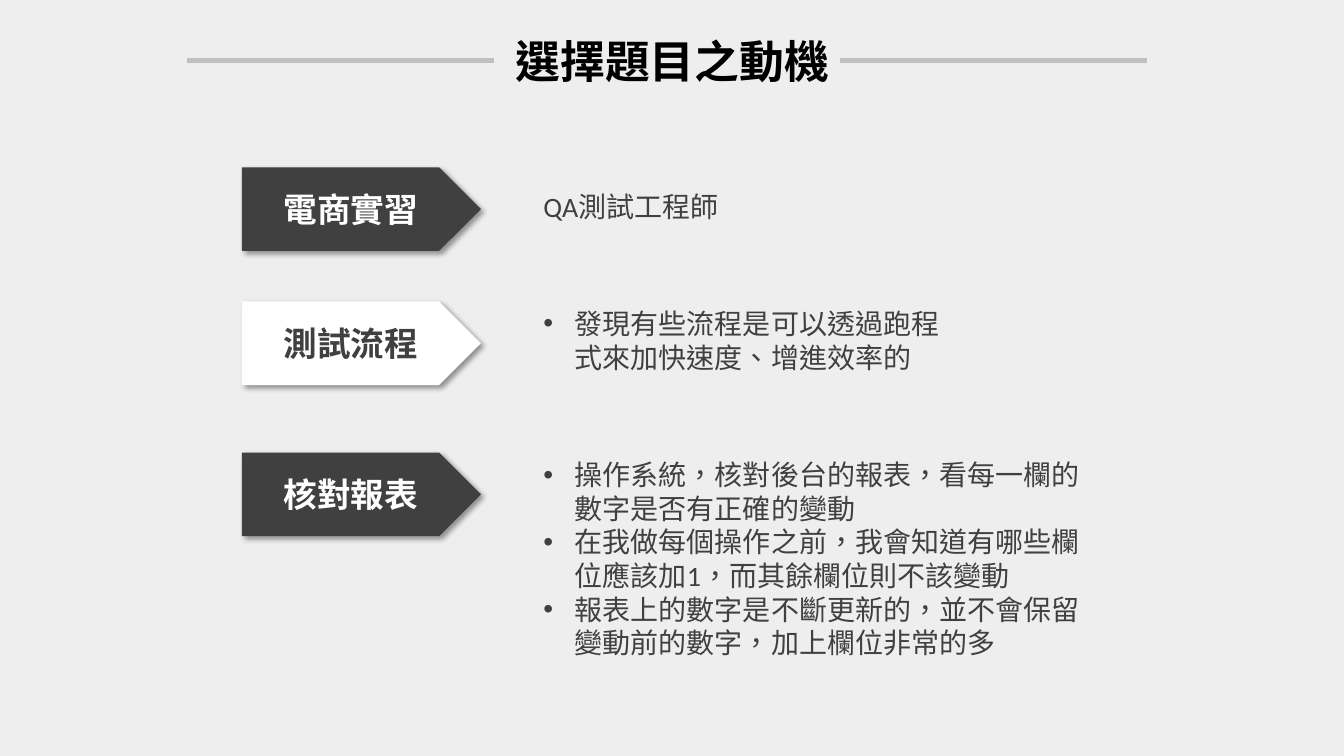
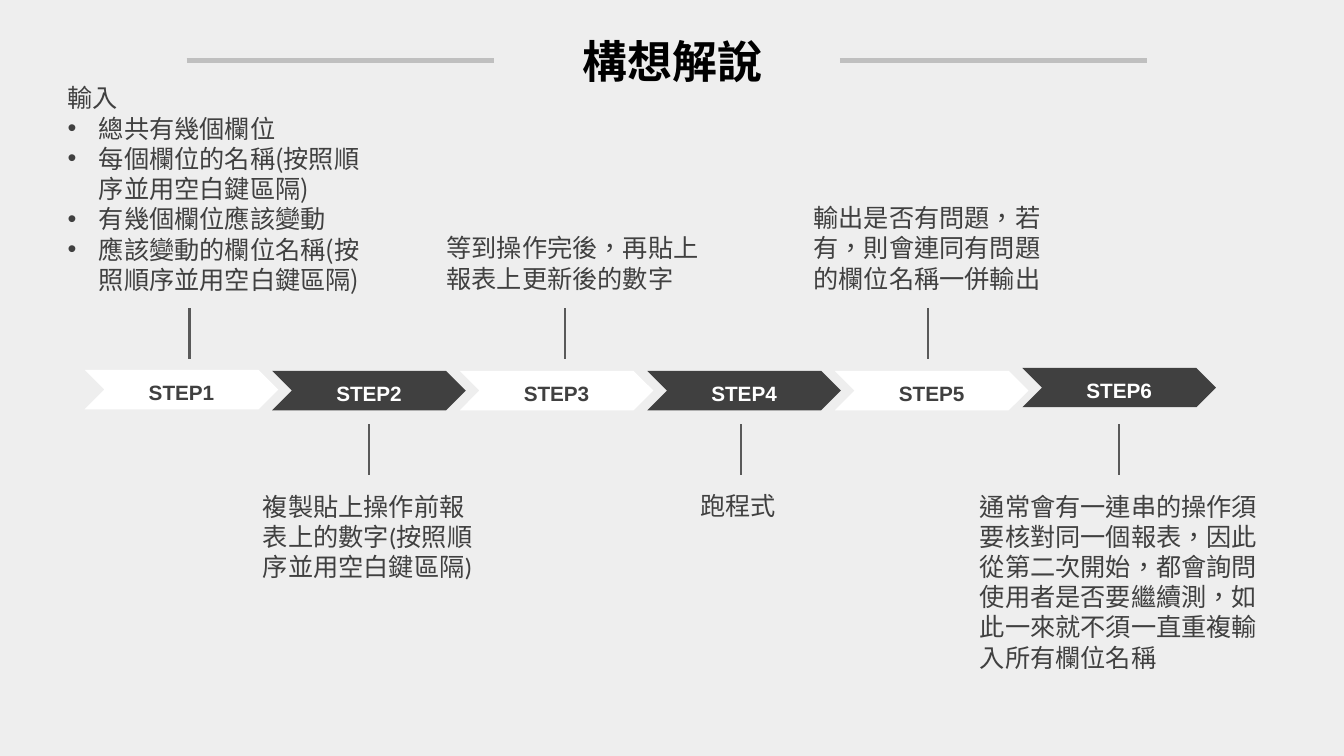
from dataclasses import dataclass
from typing import Any, Optional

from lxml.etree import SubElement
from pptx import Presentation
from pptx.dml.color import RGBColor
from pptx.enum.shapes import MSO_CONNECTOR, MSO_SHAPE
from pptx.enum.text import MSO_ANCHOR, MSO_AUTO_SIZE, PP_ALIGN
from pptx.oxml.ns import qn
from pptx.util import Inches, Pt

COLORS = {
    "background": "EEEEEE",
    "rule": "BFBFBF",
    "stem": "595959",
    "dark": "404040",
    "white": "FFFFFF",
    "black": "000000",
}
EAST_ASIAN_FONT = "Noto Sans CJK SC"
TITLE_FONT = {"size": Pt(32), "name": "Arial", "bold": True}
LABEL_FONT = {"size": Pt(24), "name": "Arial", "bold": True}
STEP_FONT = {"size": Pt(14.8), "name": "Arial", "bold": True}
REASON_FONT = {"size": Pt(20), "name": "Calibri", "bold": False}
NOTE_FONT = {"size": Pt(18), "name": "Calibri", "bold": False}
INPUT_FONT = {**NOTE_FONT, "name": EAST_ASIAN_FONT}

TITLE_BOX = (4.94, 0.28, 3.46, 0.64)
RULE_LEFTS, RULE_WIDTH, RULE_TOP = (1.85, 8.33), 3.05, 0.6
LABEL_LEFT, LABEL_WIDTH, LABEL_HEIGHT = 2.4, 2.37, 0.83
REASON_LEFT = 5.29
STEP_LEFT, STEP_PITCH, STEP_WIDTH, STEP_HEIGHT = 0.84, 1.86, 1.92, 0.39
STEM_LENGTH, UPPER_STEM, LOWER_STEM = 0.5, 3.06, 4.21
UPPER_NOTE_BOTTOM, LOWER_NOTE_TOP = 2.97, 4.82

Box = tuple[float, float, float, float]


@dataclass(frozen=True)
class Line:
    text: str
    bulleted: bool = False


@dataclass(frozen=True)
class Reason:
    label: str
    top: float
    text_top: float
    text_width: float
    text_height: float
    lines: list[Line]
    dark: bool = True


@dataclass(frozen=True)
class Note:
    text: str
    left: float
    width: float
    height: float


@dataclass(frozen=True)
class Step:
    top: float
    stem_left: float
    note: Optional[Note] = None


REASONS = [
    Reason("電商實習", 1.66, 1.83, 2.22, 0.44, [Line("QA測試工程師")]),
    Reason("測試流程", 2.99, 2.99, 4.25, 0.77,
           [Line("發現有些流程是可以透過跑程式來加快速度、增進效率的", True)], dark=False),
    Reason("核對報表", 4.49, 4.49, 5.64, 2.12, [
        Line("操作系統，核對後台的報表，看每一欄的數字是否有正確的變動", True),
        Line("在我做每個操作之前，我會知道有哪些欄位應該加1，而其餘欄位則不該變動", True),
        Line("報表上的數字是不斷更新的，並不會保留變動前的數字，加上欄位非常的多", True),
    ]),
]

INPUT_BOX = (0.57, 0.77, 3.2, 2.22)
INPUT_LINES = [
    Line("輸入"),
    Line("總共有幾個欄位", True),
    Line("每個欄位的名稱(按照順序並用空白鍵區隔)", True),
    Line("有幾個欄位應該變動", True),
    Line("應該變動的欄位名稱(按照順序並用空白鍵區隔)", True),
]
STEPS = [
    Step(3.67, 1.88),
    Step(3.68, 3.66, Note("複製貼上操作前報表上的數字(按照順序並用空白鍵區隔)", 2.51, 2.3, 1.01)),
    Step(3.68, 5.6, Note("等到操作完後，再貼上報表上更新後的數字", 4.33, 2.73, 0.71)),
    Step(3.68, 7.35, Note("跑程式", 6.85, 1, 0.4)),
    Step(3.68, 9.2, Note("輸出是否有問題，若有，則會連同有問題的欄位名稱一併輸出", 7.97, 2.47, 1.01)),
    Step(3.65, 11.1, Note(
        "通常會有一連串的操作須要核對同一個報表，因此從第二次開始，都會詢問使用者是否要繼續測，"
        "如此一來就不須一直重複輸入所有欄位名稱", 9.62, 2.96, 1.92)),
]


def rgb(color: str) -> RGBColor:
    return RGBColor.from_string(COLORS[color])


def apply_format(target: Any, values: dict[str, Any]) -> None:
    for name, value in values.items():
        setattr(target, name, value)


def place(shape: Any, box: Box) -> None:
    apply_format(shape, dict(zip(("left", "top", "width", "height"), map(Inches, box))))


def set_bullet(paragraph: Any, bulleted: bool) -> None:
    properties = paragraph._p.get_or_add_pPr()
    indent = Inches(0.31) if bulleted else 0
    properties.set("marL", str(indent))
    properties.set("indent", str(-indent))
    if bulleted:
        SubElement(properties, qn("a:buFont"), typeface="Arial")
        SubElement(properties, qn("a:buChar"), char="•")
    else:
        SubElement(properties, qn("a:buNone"))


def write_lines(shape: Any, lines: list[Line], font: dict[str, Any], color: str = "dark",
                align: PP_ALIGN = PP_ALIGN.LEFT, spacing: Any = None,
                anchor: MSO_ANCHOR = MSO_ANCHOR.TOP, wrap: bool = True) -> None:
    frame = shape.text_frame
    apply_format(frame, {"word_wrap": wrap, "auto_size": MSO_AUTO_SIZE.NONE,
                         "vertical_anchor": anchor})
    for index, line in enumerate(lines):
        paragraph = frame.add_paragraph() if index else frame.paragraphs[0]
        apply_format(paragraph, {"alignment": align, "line_spacing": spacing,
                                 "space_before": Pt(0)})
        set_bullet(paragraph, line.bulleted)
        run = paragraph.add_run()
        run.text = line.text
        run.font.color.rgb = rgb(color)
        apply_format(run.font, font)
        properties = run._r.get_or_add_rPr()
        properties.set("lang", "zh-TW")
        SubElement(properties, qn("a:ea"), typeface=EAST_ASIAN_FONT)


def write_body(shape: Any, box: Box, lines: list[Line], font: dict[str, Any]) -> None:
    place(shape, box)
    write_lines(shape, lines, font, spacing=Pt(font["size"].pt * 1.2))


def add_text(slide: Any, box: Box, lines: list[Line], font: dict[str, Any]) -> None:
    write_body(slide.shapes.add_textbox(*map(Inches, box)), box, lines, font)


def add_line(slide: Any, start: tuple[float, float], end: tuple[float, float],
             color: str, width: float) -> None:
    connector = slide.shapes.add_connector(
        MSO_CONNECTOR.STRAIGHT, *map(Inches, (*start, *end)))
    connector.line.color.rgb = rgb(color)
    connector.line.width = Pt(width)
    SubElement(connector._element.spPr, qn("a:effectLst"))


def add_label(slide: Any, kind: MSO_SHAPE, box: Box, text: str, font: dict[str, Any],
              dark: bool, **text_format: Any) -> Any:
    shape = slide.shapes.add_shape(kind, *map(Inches, box))
    shape.shadow.inherit = False
    shape.fill.solid()
    shape.fill.fore_color.rgb = rgb("dark" if dark else "white")
    shape.line.fill.background()
    write_lines(shape, [Line(text)], font, "white" if dark else "dark",
                PP_ALIGN.CENTER, anchor=MSO_ANCHOR.MIDDLE, **text_format)
    return shape


def add_shadow(shape: Any) -> None:
    effects = shape._element.spPr.find(qn("a:effectLst"))
    shadow = SubElement(effects, qn("a:outerShdw"), blurRad=str(Pt(4)), dist=str(Pt(3)),
                        dir=str(45 * 60000), algn="tl", rotWithShape="0")
    color = SubElement(shadow, qn("a:srgbClr"), val=COLORS["black"])
    SubElement(color, qn("a:alpha"), val="40000")


def add_titled_slide(presentation: Any, layout_name: str, title: str) -> Any:
    layout = presentation.slide_layouts.get_by_name(layout_name)
    slide = presentation.slides.add_slide(layout)
    place(slide.shapes.title, TITLE_BOX)
    write_lines(slide.shapes.title, [Line(title)], TITLE_FONT, "black",
                PP_ALIGN.CENTER, anchor=MSO_ANCHOR.MIDDLE)
    for left in RULE_LEFTS:
        add_line(slide, (left, RULE_TOP), (left + RULE_WIDTH, RULE_TOP), "rule", 3)
    return slide


def add_motive_slide(presentation: Any) -> None:
    slide = add_titled_slide(presentation, "Two Content", "選擇題目之動機")
    bodies = iter([slide.placeholders[1], slide.placeholders[2]])
    for reason in REASONS:
        label_box = (LABEL_LEFT, reason.top, LABEL_WIDTH, LABEL_HEIGHT)
        add_shadow(add_label(slide, MSO_SHAPE.PENTAGON, label_box, reason.label,
                             LABEL_FONT, reason.dark))
        box = (REASON_LEFT, reason.text_top, reason.text_width, reason.text_height)
        if reason.lines[0].bulleted:
            write_body(next(bodies), box, reason.lines, REASON_FONT)
        else:
            add_text(slide, box, reason.lines, REASON_FONT)


def add_concept_slide(presentation: Any) -> None:
    slide = add_titled_slide(presentation, "Title and Content", "構想解說")
    write_body(slide.placeholders[1], INPUT_BOX, INPUT_LINES, INPUT_FONT)
    for index, step in enumerate(STEPS):
        below = index % 2 == 1
        box = (STEP_LEFT + index * STEP_PITCH, step.top, STEP_WIDTH, STEP_HEIGHT)
        add_label(slide, MSO_SHAPE.CHEVRON, box, f"STEP{index + 1}", STEP_FONT,
                  below, spacing=1.2, wrap=False)
        stem_top = LOWER_STEM if below else UPPER_STEM
        add_line(slide, (step.stem_left, stem_top),
                 (step.stem_left, stem_top + STEM_LENGTH), "stem", 1.5)
        note = step.note
        if note:
            top = LOWER_NOTE_TOP if below else UPPER_NOTE_BOTTOM - note.height
            add_text(slide, (note.left, top, note.width, note.height),
                     [Line(note.text)], NOTE_FONT)


def main() -> None:
    presentation = Presentation()
    presentation.slide_width = Inches(13.33)
    presentation.slide_height = Inches(7.5)
    background = presentation.slide_master.background.fill
    background.solid()
    background.fore_color.rgb = rgb("background")
    add_motive_slide(presentation)
    add_concept_slide(presentation)
    presentation.save("out.pptx")


if __name__ == "__main__":
    main()
